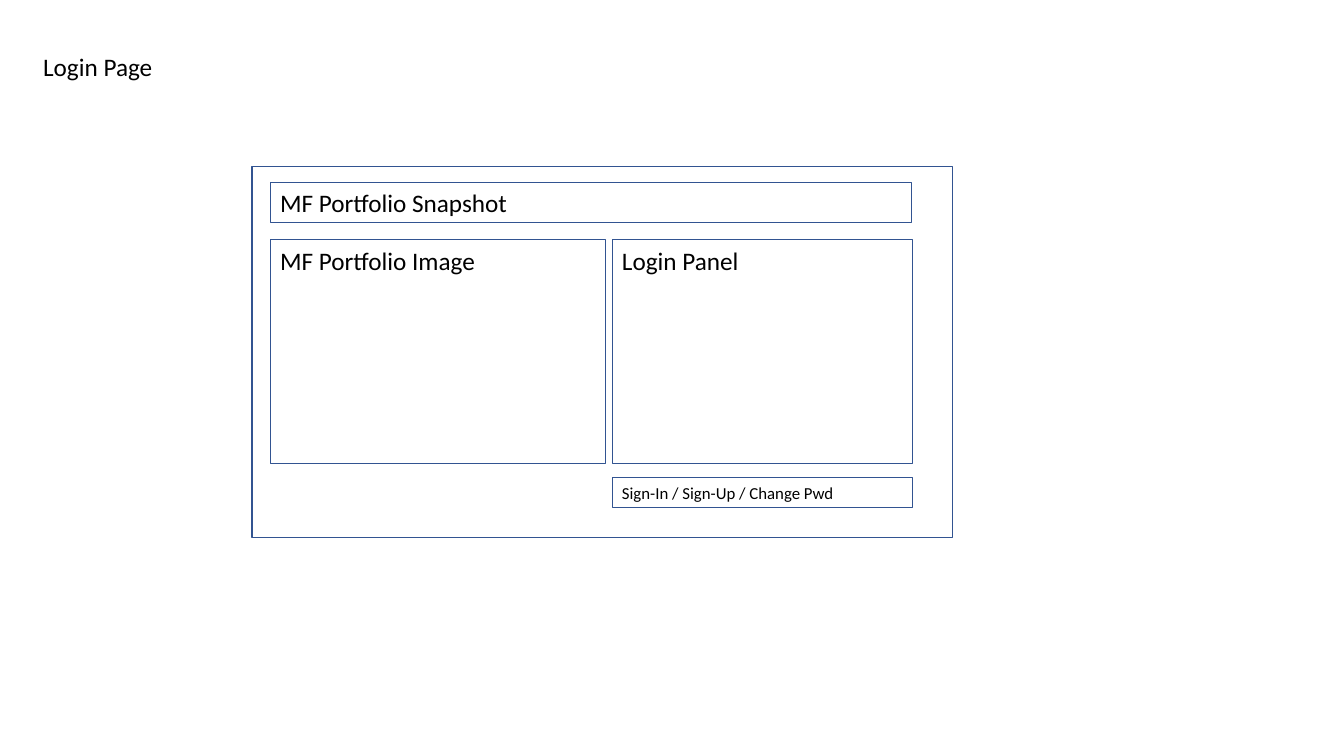
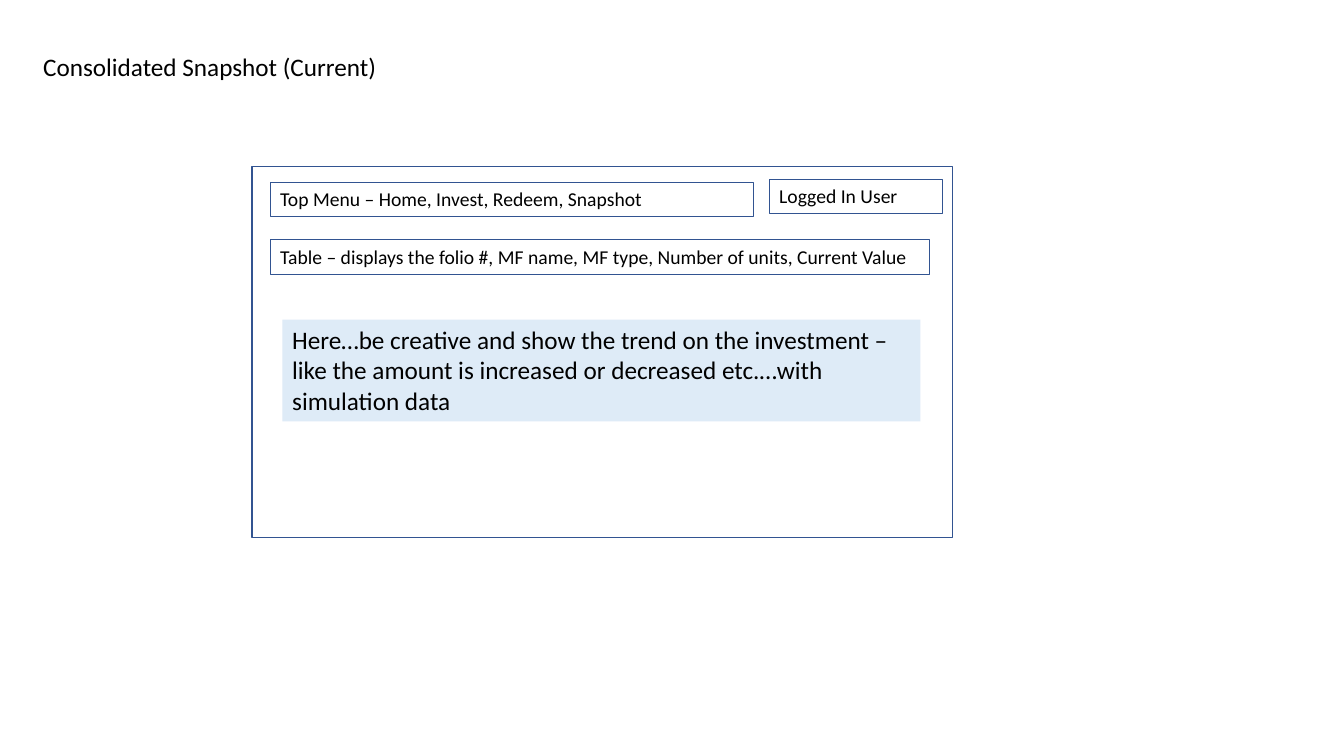
from pptx import Presentation
from pptx.dml.color import RGBColor
from pptx.enum.shapes import MSO_SHAPE
from pptx.enum.text import MSO_ANCHOR, PP_ALIGN
from pptx.util import Pt

RECTANGLE = MSO_SHAPE.RECTANGLE
TOP = MSO_ANCHOR.TOP
LEFT = PP_ALIGN.LEFT

PX = 9144  # EMU per px, 100 px to the inch
SLIDE_SIZE = (1333, 750)
FONT = "Calibri"
BLACK = RGBColor(0x00, 0x00, 0x00)
OUTLINE_BLUE = RGBColor(0x32, 0x54, 0x91)
PALE_BLUE = RGBColor(0xDE, 0xEB, 0xF7)

WINDOW = (250, 165, 695, 368)
TITLE_POSITION = (33, 46)
TITLE_HEIGHT = 40
TITLE_SIZE = 18

# Panels: text, (left, top, width, height), text size
PAGES = [
    {
        "title": "Login Page",
        "title_width": 216,
        "panels": [
            ("MF Portfolio Snapshot", (268, 181, 636, 40), 18),
            ("MF Portfolio Image", (268, 238, 333, 222), 18),
            ("Login Panel", (607, 238, 298, 222), 18),
            ("Sign-In / Sign-Up / Change Pwd", (607, 474, 298, 30), 12),
        ],
        "notices": [],
    },
    {
        "title": "Consolidated Snapshot (Current)",
        "title_width": 447,
        "panels": [
            ("Top Menu – Home, Invest, Redeem, Snapshot", (268, 181, 479, 34), 14),
            ("Logged In User", (763, 178, 172, 34), 14),
            ("Table – displays the folio #, MF name, MF type, Number of units, "
             "Current Value", (268, 238, 654, 34), 14),
        ],
        "notices": [
            ("Here…be creative and show the trend on the investment – like the "
             "amount is increased or decreased etc.…with simulation data",
             (280, 317, 633, 101), 18),
        ],
    },
]


def emu(lengths):
    return [length * PX for length in lengths]


def write(box, text, size):
    frame = box.text_frame
    frame.word_wrap = True
    frame.vertical_anchor = TOP
    para = frame.paragraphs[0]
    para.text = text
    para.alignment = LEFT
    para.font.name = FONT
    para.font.size = Pt(size)
    para.font.color.rgb = BLACK


def add_box(page, area, fill=None, line_width=None):
    """Add a rectangle, by default with neither fill nor outline."""
    box = page.shapes.add_shape(RECTANGLE, *emu(area))
    box.shadow.inherit = False
    if fill is None:
        box.fill.background()
    else:
        box.fill.solid()
        box.fill.fore_color.rgb = fill
    if line_width is None:
        box.line.fill.background()
    else:
        box.line.color.rgb = OUTLINE_BLUE
        box.line.width = Pt(line_width)
    return box


def add_page(deck, content):
    page = deck.slides.add_slide(deck.slide_layouts[6])
    title_area = (*TITLE_POSITION, content["title_width"], TITLE_HEIGHT)
    title = page.shapes.add_textbox(*emu(title_area))
    write(title, content["title"], TITLE_SIZE)
    add_box(page, WINDOW, line_width=1)
    for text, area, size in content["panels"]:
        write(add_box(page, area, line_width=0.75), text, size)
    for text, area, size in content["notices"]:
        write(add_box(page, area, fill=PALE_BLUE), text, size)


def main():
    deck = Presentation()
    deck.slide_width, deck.slide_height = emu(SLIDE_SIZE)
    for content in PAGES:
        add_page(deck, content)
    deck.save("out.pptx")


if __name__ == "__main__":
    main()
